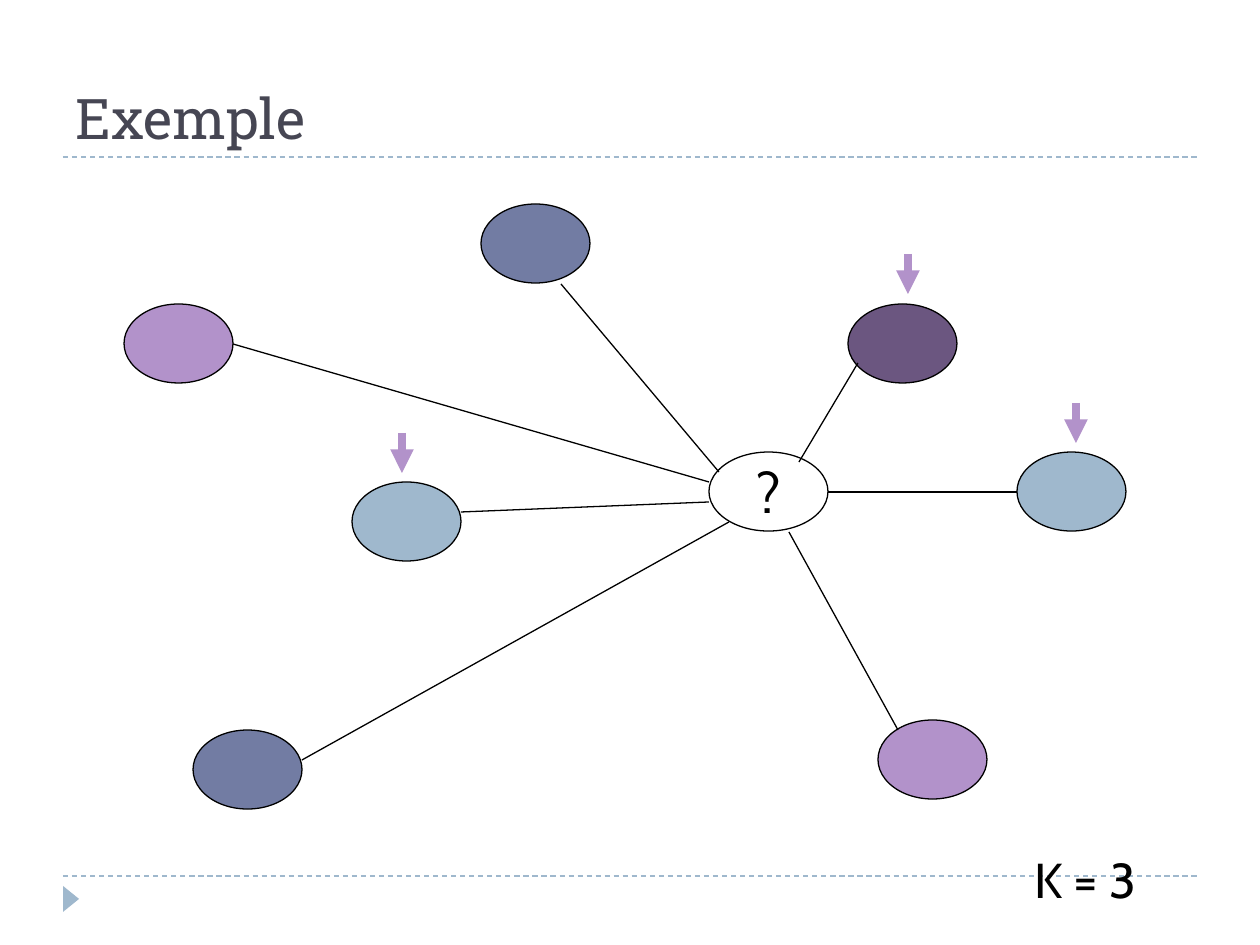
"""Build a nearest-neighbour example slide with K = 3."""
from pptx import Presentation
from pptx.dml.color import RGBColor
from pptx.enum.dml import MSO_LINE
from pptx.enum.shapes import MSO_CONNECTOR, MSO_SHAPE
from pptx.enum.text import MSO_ANCHOR, PP_ALIGN
from pptx.oxml.ns import qn
from pptx.util import Pt
from lxml.etree import SubElement

PX = 914400 // 126
BLACK, BLUE, NAVY = "000000", "9FB8CD", "727CA3"
LILAC, PLUM, SLATE = "B292CA", "6B5680", "464653"

deck = Presentation()
deck.slide_width, deck.slide_height = 1260 * PX, 945 * PX
slide = deck.slides.add_slide(deck.slide_layouts[6])
shapes = slide.shapes


def rgb(code):
    return RGBColor.from_string(code)


def link(ends, color=BLACK, width=0.75):
    line = shapes.add_connector(MSO_CONNECTOR.STRAIGHT, *[n * PX for n in ends])
    line.line.color.rgb = rgb(color)
    line.line.width = Pt(width)
    SubElement(line._element.spPr, qn("a:effectLst"))
    return line


for y in (876, 157):
    link((63, y, 1197, y), BLUE).line.dash_style = MSO_LINE.DASH

mark = shapes.add_shape(MSO_SHAPE.ISOSCELES_TRIANGLE, 58 * PX, 891 * PX, 26 * PX, 16 * PX)
mark.rotation = 90
mark.shadow.inherit = False
mark.fill.solid()
mark.fill.fore_color.rgb = rgb(BLUE)
mark.line.fill.background()

nodes = [
    (352, 482, 109, BLUE), (481, 204, 109, NAVY), (1017, 452, 109, BLUE),
    (193, 730, 109, NAVY), (878, 720, 109, LILAC), (848, 304, 109, PLUM),
    (124, 304, 109, LILAC), (709, 452, 119, None),
]
for x, y, width, color in nodes:
    node = shapes.add_shape(MSO_SHAPE.OVAL, x * PX, y * PX, width * PX, 79 * PX)
    node.shadow.inherit = False
    node.line.color.rgb = rgb(BLACK)
    node.line.width = Pt(0.75)
    if color:
        node.fill.solid()
        node.fill.fore_color.rgb = rgb(color)
    else:
        node.fill.background()
        query = node

links = [
    (799, 462, 858, 363), (719, 472, 561, 284), (828, 492, 1017, 492),
    (302, 760, 729, 522), (461, 512, 709, 502), (898, 730, 789, 532),
    (233, 344, 709, 482),
]
for ends in links:
    link(ends)

for x, y in ((908, 254), (1076, 403), (402, 433)):
    arrow = link((x, y, x, y + 40), LILAC, 4.5)
    SubElement(arrow.line._get_or_add_ln(), qn("a:tailEnd"), type="triangle")

count = shapes.add_textbox(1022 * PX, 843 * PX, 144 * PX, 72 * PX)
title = shapes.add_textbox(63 * PX, 21 * PX, 1134 * PX, 136 * PX)
labels = [
    (query, "?", 32, "Cabin", BLACK, MSO_ANCHOR.MIDDLE, PP_ALIGN.CENTER, False),
    (count, "K = 3", 28, "Cabin", BLACK, MSO_ANCHOR.TOP, PP_ALIGN.LEFT, False),
    (title, "Exemple", 32, "Roboto Slab", SLATE, MSO_ANCHOR.BOTTOM, PP_ALIGN.LEFT, True),
]
for shape, text, size, face, color, anchor, align, wrap in labels:
    frame = shape.text_frame
    frame.text = text
    frame.word_wrap = wrap
    frame.vertical_anchor = anchor
    para = frame.paragraphs[0]
    para.alignment = align
    font = para.runs[0].font
    font.size, font.name = Pt(size), face
    font.color.rgb = rgb(color)

deck.save("out.pptx")
